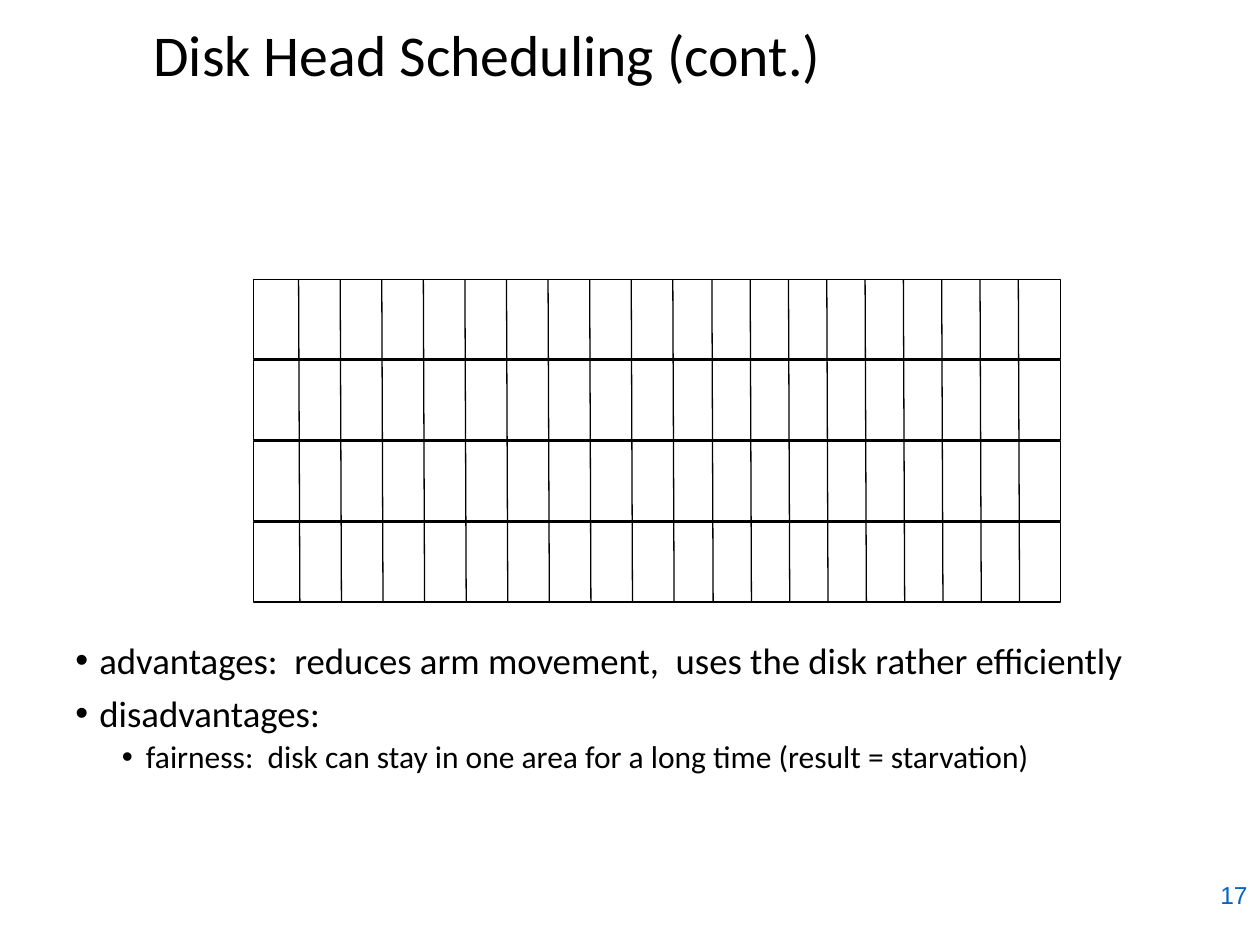
from lxml import etree
from pptx import Presentation
from pptx.dml.color import RGBColor
from pptx.enum.shapes import MSO_CONNECTOR, MSO_SHAPE
from pptx.enum.text import MSO_ANCHOR, PP_ALIGN
from pptx.oxml.ns import qn
from pptx.util import Inches, Pt

BLACK = RGBColor(0x00, 0x00, 0x00)
BLUE = RGBColor(0x05, 0x63, 0xC1)
STRAIGHT, RECTANGLE = MSO_CONNECTOR.STRAIGHT, MSO_SHAPE.RECTANGLE
TOP, MIDDLE = MSO_ANCHOR.TOP, MSO_ANCHOR.MIDDLE
LEFT, CENTER, RIGHT = PP_ALIGN.LEFT, PP_ALIGN.CENTER, PP_ALIGN.RIGHT

# Content
TITLE = "Disk Head Scheduling (cont.)"
PAGE_NUMBER = "17"
BULLETS = [  # text, level, size, space before
    ("advantages:  reduces arm movement,  uses the disk rather efficiently", 0, 21, 7.5),
    ("disadvantages:", 0, 21, 7.5),
    ("fairness:  disk can stay in one area for a long time (result = starvation)", 1, 18, 3.7),
]

# Grid geometry, in inches
GRID_LEFT, GRID_TOP, GRID_WIDTH = 2.01, 2.22, 6.41
ROW_COUNT, ROW_HEIGHT, ROW_PITCH = 4, 0.63, 0.643
TRACK_HEIGHT, TRACK_SLANT, LINE_WIDTH = 2.56, 0.01, 0.75
TRACK_GROUPS = [(2.37, 0.33, 10), (5.65, 0.304, 9)]  # first x, pitch, count
BULLET_INDENT, LEVEL_INDENT = 0.19, 0.37


def add_text_frame(slide, box, anchor):
    text_frame = slide.shapes.add_textbox(*map(Inches, box)).text_frame
    text_frame.word_wrap = True
    text_frame.vertical_anchor = anchor
    return text_frame


def write(paragraph, text, size, font="Calibri", color=BLACK, align=LEFT, spacing=0.9):
    paragraph.alignment = align
    paragraph.line_spacing = spacing
    run = paragraph.add_run()
    run.text = text
    run.font.size = Pt(size)
    run.font.name = font
    run.font.color.rgb = color


def add_bullet(paragraph, level):
    properties = paragraph._p.get_or_add_pPr()
    properties.set("marL", str(Inches(BULLET_INDENT + level * LEVEL_INDENT)))
    properties.set("indent", str(-Inches(BULLET_INDENT)))
    etree.SubElement(properties, qn("a:buFont"), typeface="Arial")
    etree.SubElement(properties, qn("a:buChar"), char="•")


def style_line(line):
    line.color.rgb = BLACK
    line.width = Pt(LINE_WIDTH)


def add_grid(slide):
    shapes = slide.shapes.add_group_shape().shapes
    # Disk rows
    for row in range(ROW_COUNT):
        box = (GRID_LEFT, GRID_TOP + row * ROW_PITCH, GRID_WIDTH, ROW_HEIGHT)
        rectangle = shapes.add_shape(RECTANGLE, *map(Inches, box))
        rectangle.shadow.inherit = False
        rectangle.fill.background()
        style_line(rectangle.line)
    # Track dividers
    for first, pitch, count in TRACK_GROUPS:
        for index in range(count):
            x = first + index * pitch
            ends = (x, GRID_TOP, x + TRACK_SLANT, GRID_TOP + TRACK_HEIGHT)
            divider = shapes.add_connector(STRAIGHT, *map(Inches, ends))
            style_line(divider.line)
            etree.SubElement(divider._element.spPr, qn("a:effectLst"))


def main():
    presentation = Presentation()
    presentation.slide_width, presentation.slide_height = Inches(10), Inches(7.5)
    slide = presentation.slides.add_slide(presentation.slide_layouts[6])

    # Title
    title = add_text_frame(slide, (0.44, 0.16, 6.85, 0.6), MIDDLE)
    write(title.paragraphs[0], TITLE, 33, align=CENTER)

    # Advantages and disadvantages
    body = add_text_frame(slide, (0.5, 5.05, 9.22, 2.04), TOP)
    for index, (text, level, size, space_before) in enumerate(BULLETS):
        paragraph = body.add_paragraph() if index else body.paragraphs[0]
        paragraph.level = level
        write(paragraph, text, size)
        paragraph.space_before = Pt(space_before)
        add_bullet(paragraph, level)

    # Page number
    number = add_text_frame(slide, (9.41, 6.85, 0.59, 0.5), MIDDLE)
    write(number.paragraphs[0], PAGE_NUMBER, 14, "Arial", BLUE, RIGHT, 1.0)

    add_grid(slide)
    presentation.save("out.pptx")


if __name__ == "__main__":
    main()
